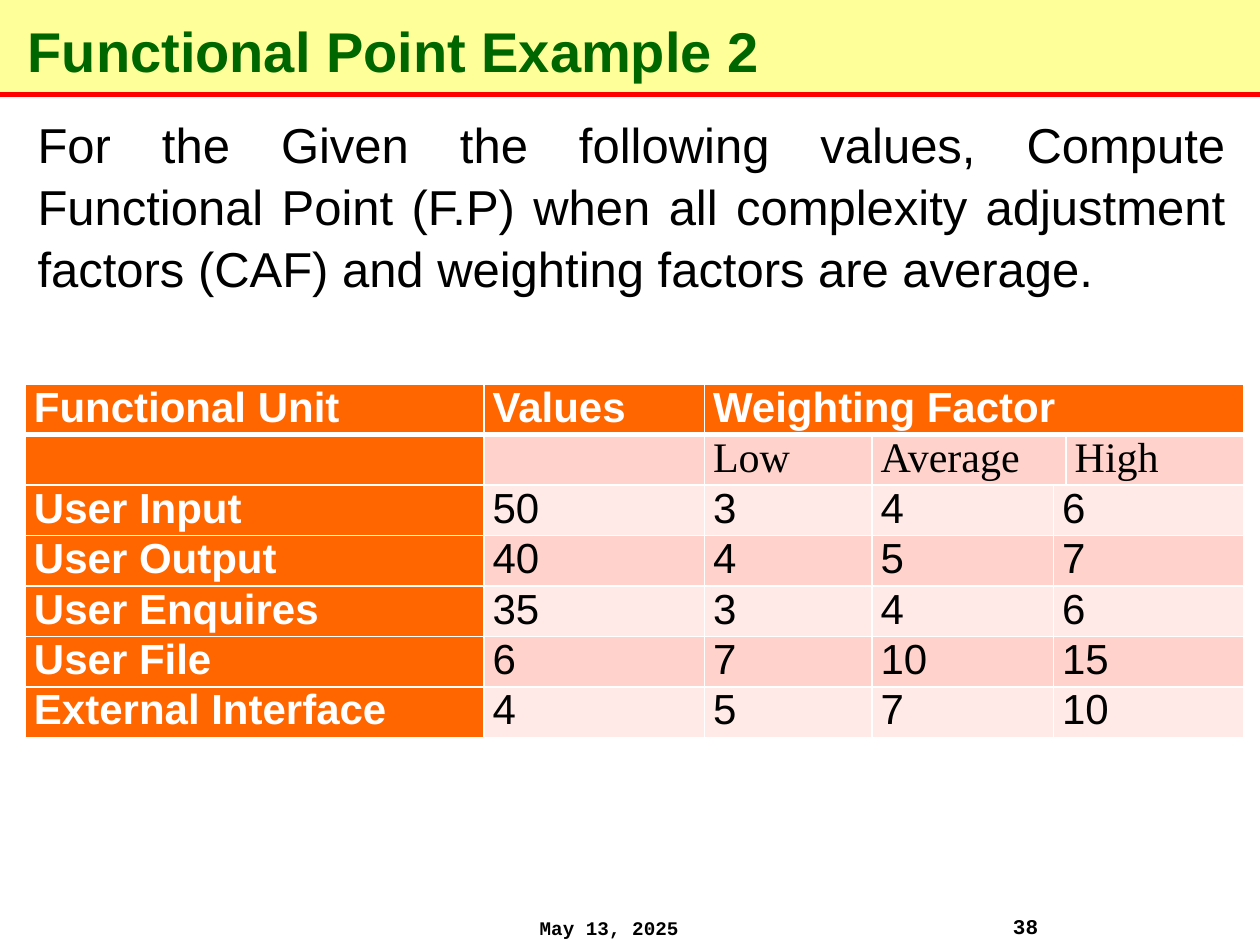
"""Build the function point example slide with its weighting table."""
from dataclasses import dataclass

from lxml.etree import SubElement
from pptx import Presentation
from pptx.dml.color import RGBColor
from pptx.enum.shapes import MSO_CONNECTOR, MSO_SHAPE
from pptx.enum.text import MSO_ANCHOR, PP_ALIGN
from pptx.oxml.ns import qn
from pptx.util import Inches, Pt

BLACK = RGBColor(0x00, 0x00, 0x00)
WHITE = RGBColor(0xFF, 0xFF, 0xFF)
GREEN = RGBColor(0x00, 0x66, 0x00)
RED = RGBColor(0xFF, 0x00, 0x00)
CREAM = RGBColor(0xFF, 0xFF, 0x99)
ORANGE = RGBColor(0xFF, 0x66, 0x00)
PINK = RGBColor(0xFF, 0xD3, 0xCC)
PALE = RGBColor(0xFF, 0xEA, 0xE7)

COLS = (3.64, 1.75, 1.33, 1.44, 0.1, 1.41)
HIGH = 0.37
ROWS = (
    ("Functional Unit", "Values", "Weighting Factor", "", "", ""),
    ("", "", "Low", "Average", "", "High"),
    ("User Input", "50", "3", "4", "6", ""),
    ("User Output", "40", "4", "5", "7", ""),
    ("User Enquires", "35", "3", "4", "6", ""),
    ("User File", "6", "7", "10", "15", ""),
    ("External Interface", "4", "5", "7", "10", ""),
)
SPANS = ((0, 2, 5), (1, 3, 4)) + tuple((row, 4, 5) for row in range(2, len(ROWS)))


@dataclass(frozen=True)
class Style:
    size: float
    face: str = "Arial"
    color: RGBColor = BLACK
    bold: bool = False
    align: PP_ALIGN = PP_ALIGN.JUSTIFY


@dataclass(frozen=True)
class Note:
    text: str
    box: tuple[float, float, float, float]
    style: Style
    space: float = 1.0


NOTES = (
    Note("38", (7.76, 7.2, 0.76, 0.46),
         Style(12, "Courier New", bold=True, align=PP_ALIGN.CENTER)),
    Note("May 13, 2025", (3.91, 7.22, 1.85, 0.26),
         Style(11, "Courier New", bold=True, align=PP_ALIGN.CENTER)),
    Note("For the Given the following values, Compute Functional Point (F.P) "
         "when all complexity adjustment factors (CAF) and weighting factors "
         "are average.", (0.2, 0.84, 9.62, 5.6), Style(28), 1.05),
)


def write(frame, text: str, style: Style) -> None:
    """Add one styled run to the first paragraph."""
    para = frame.paragraphs[0]
    para.alignment = style.align
    run = para.add_run()
    run.text = text
    font = run.font
    font.size, font.name, font.bold = Pt(style.size), style.face, style.bold
    font.color.rgb = style.color


def place(shape, box: tuple[float, float, float, float]) -> None:
    """Set the place and size of a shape."""
    shape.left, shape.top, shape.width, shape.height = map(Inches, box)


def add_band(slide) -> None:
    """Draw the title band and the rule below it."""
    band = slide.shapes.add_shape(
        MSO_SHAPE.RECTANGLE, 0, 0, Inches(10), Inches(0.75))
    band.shadow.inherit = False
    band.fill.solid()
    band.fill.fore_color.rgb = CREAM
    band.line.fill.background()
    rule = slide.shapes.add_connector(
        MSO_CONNECTOR.STRAIGHT, 0, Inches(0.75), Inches(10), Inches(0.75))
    rule.line.color.rgb = RED
    rule.line.width = Pt(3)
    SubElement(rule._element.spPr, qn("a:effectLst"))


def add_title(slide, text: str) -> None:
    """Fill the title and bring it in front of the band."""
    title = slide.shapes.title
    place(title, (0.12, 0, 9.7, 0.8))
    title.text_frame.vertical_anchor = MSO_ANCHOR.MIDDLE
    write(title.text_frame, text,
          Style(32, color=GREEN, bold=True, align=PP_ALIGN.LEFT))
    slide.shapes._spTree.append(title._element)


def add_note(slide, note: Note) -> None:
    """Add a wrapped text box."""
    box = slide.shapes.add_textbox(*map(Inches, note.box))
    box.text_frame.word_wrap = True
    write(box.text_frame, note.text, note.style)
    box.text_frame.paragraphs[0].line_spacing = note.space


def edge(cell, side: str, width: float) -> None:
    """Draw one white cell border."""
    line = SubElement(cell._tc.get_or_add_tcPr(), qn(f"a:ln{side}"),
                      w=str(Pt(width)))
    fill = SubElement(line, qn("a:solidFill"))
    SubElement(fill, qn("a:srgbClr"), val=str(WHITE))


def fill_cell(cell, row: int, col: int, text: str) -> None:
    """Style one table cell and write its text."""
    head = row == 0 or col == 0
    cell.margin_left = cell.margin_right = Inches(0.07)
    cell.margin_top = cell.margin_bottom = 0
    for side in "LRTB":
        thick = (row, side) in ((0, "B"), (1, "T"))
        edge(cell, side, 3 if thick else 1)
    cell.fill.solid()
    cell.fill.fore_color.rgb = ORANGE if head else PINK if row % 2 else PALE
    if text:
        face = "Times New Roman" if row == 1 else "Arial"
        write(cell.text_frame, text,
              Style(24, face, WHITE if head else BLACK, head))


def add_grid(slide) -> None:
    """Add the table of units, values and weights."""
    grid = slide.shapes.add_table(
        len(ROWS), len(COLS), Inches(0.2), Inches(3.05),
        Inches(sum(COLS)), Inches(HIGH * len(ROWS))).table
    for col, width in zip(grid.columns, COLS):
        col.width = Inches(width)
    for line in grid.rows:
        line.height = Inches(HIGH)
    for row, first, last in SPANS:
        grid.cell(row, first).merge(grid.cell(row, last))
    for row, texts in enumerate(ROWS):
        for col, text in enumerate(texts):
            fill_cell(grid.cell(row, col), row, col, text)


def main() -> None:
    """Build and save the slide."""
    deck = Presentation()
    deck.slide_width, deck.slide_height = Inches(10), Inches(7.5)
    slide = deck.slides.add_slide(deck.slide_layouts[5])
    add_band(slide)
    add_title(slide, "Functional Point Example 2")
    for note in NOTES:
        add_note(slide, note)
    add_grid(slide)
    deck.save("out.pptx")


if __name__ == "__main__":
    main()
